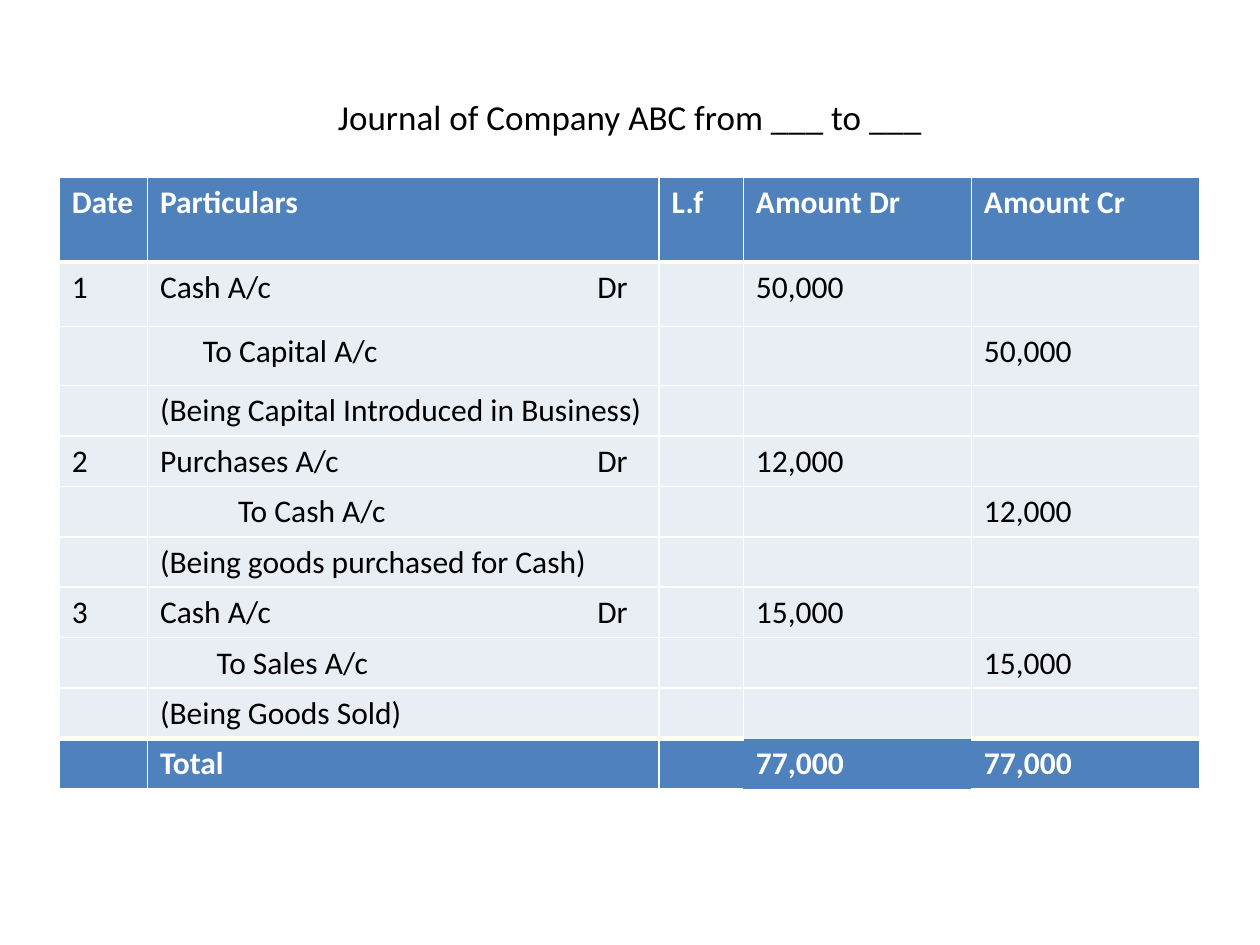
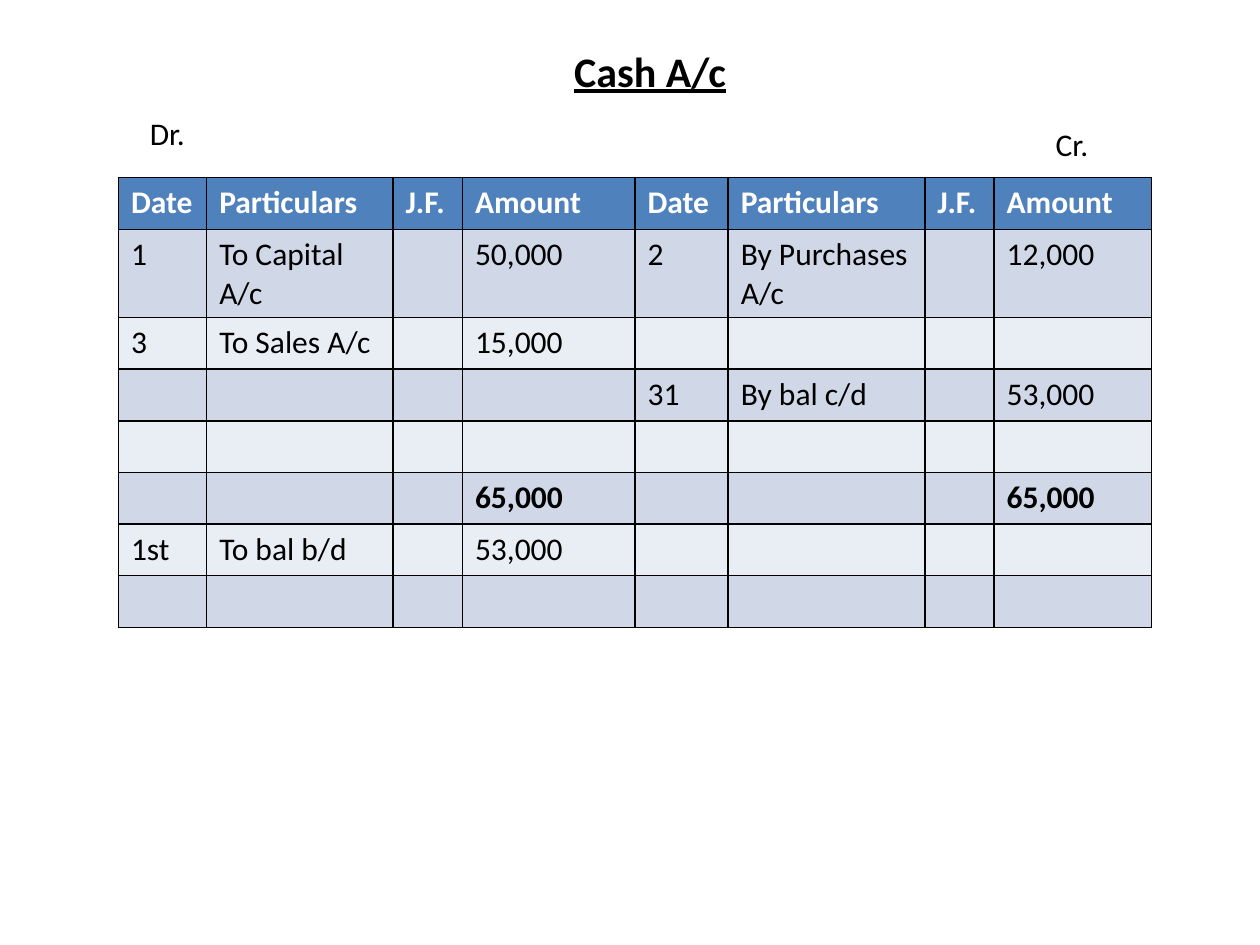
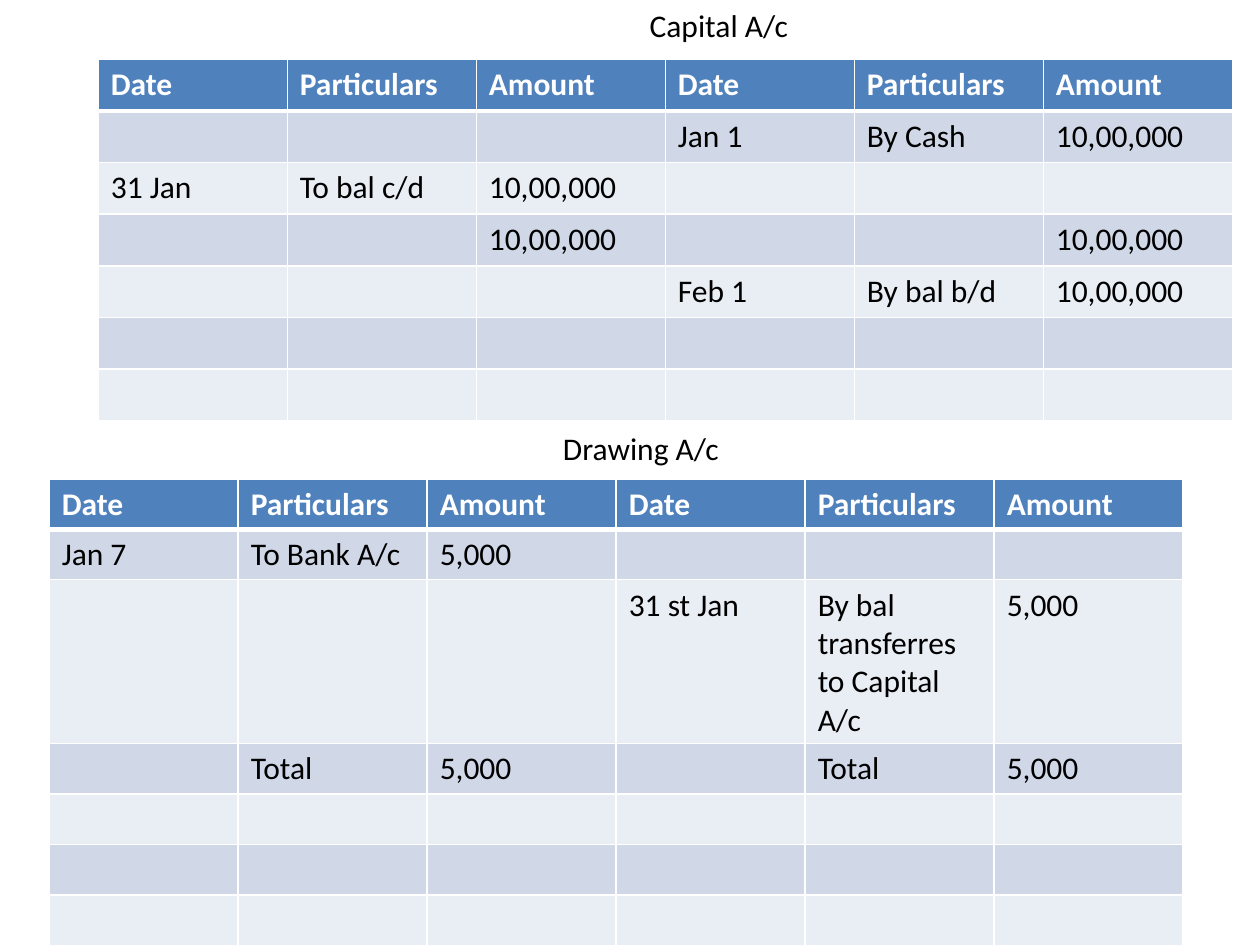
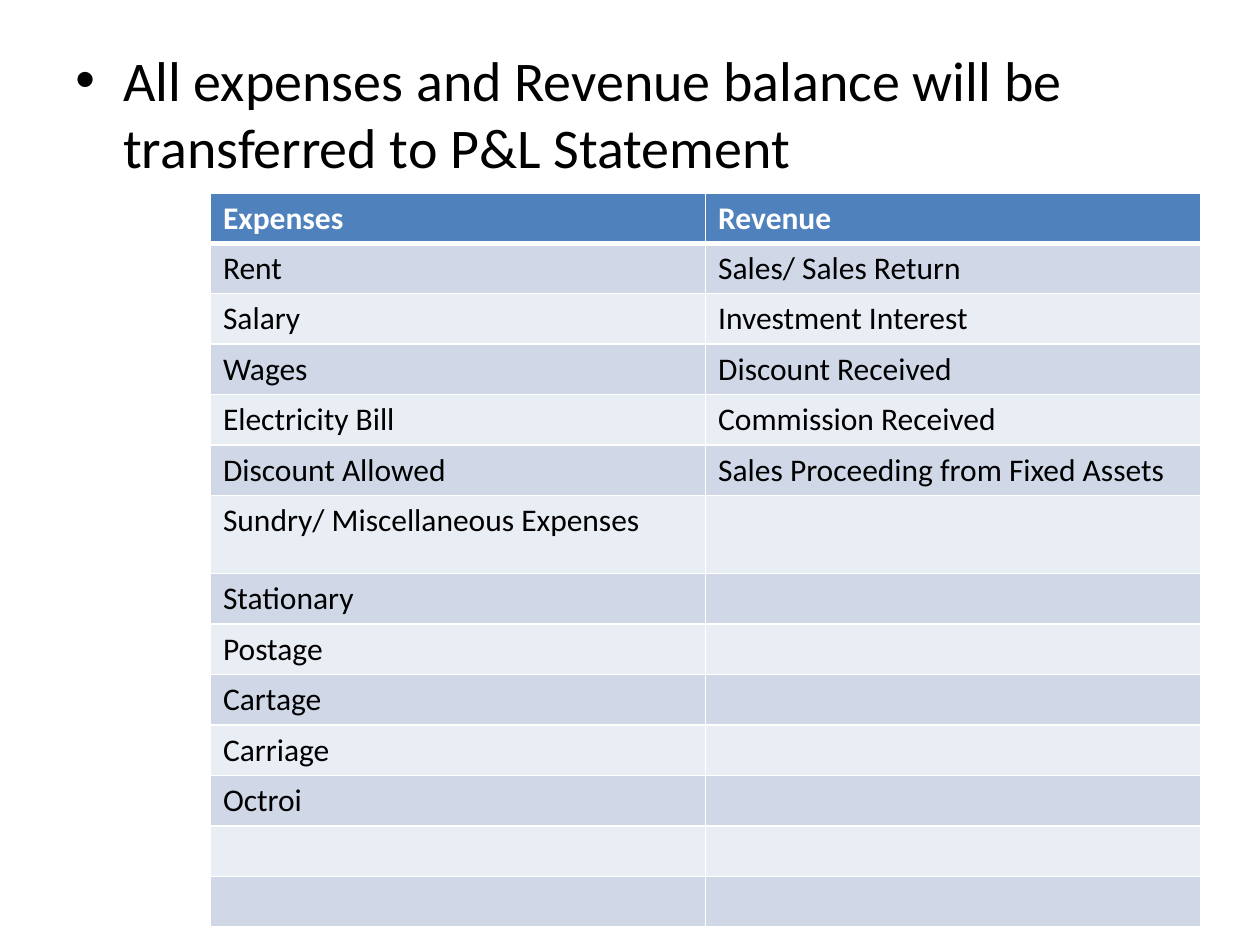
from dataclasses import dataclass, field
from itertools import zip_longest

from pptx import Presentation
from pptx.dml.color import RGBColor
from pptx.enum.text import MSO_ANCHOR as Anchor, PP_ALIGN as Align
from pptx.oxml.ns import qn
from pptx.oxml.xmlchemy import OxmlElement as Element
from pptx.util import Emu, Pt

PX = 9144
FONT = "Calibri"
COLORS = {
    "black": "000000",
    "white": "FFFFFF",
    "header": "4F81BD",
    "dark_band": "D0D8E8",
    "light_band": "E9EDF4",
}
SIDES = {"lnL": (0, -1), "lnR": (0, 1), "lnT": (-1, 0), "lnB": (1, 0)}
ROW = 41


@dataclass(frozen=True)
class Label:
    """A text box, with a hanging bullet when bulleted."""
    text: str
    left: int
    top: int
    width: int
    height: int
    size: int = 18
    align: Align = Align.LEFT
    anchor: Anchor = Anchor.TOP
    bold: bool = False
    underline: bool = False
    bulleted: bool = False


@dataclass(frozen=True)
class Ledger:
    """A ruled table whose row texts are split at bars."""
    left: int
    top: int
    columns: tuple[int, ...]
    heights: tuple[int, ...]
    rows: tuple[str, ...]
    line: str = "white"
    header_rule: int = 3
    banded: bool = True
    total_row: int | None = None
    bold_row: int | None = None
    open_cell: tuple[int, int] | None = None
    indents: dict[int, int] = field(default_factory=dict)
    tab_stop: int | None = None


def px(length: int) -> Emu:
    """Turn whole px into EMU."""
    return Emu(length * PX)


def rgb(name: str) -> RGBColor:
    """Look up a colour by name."""
    return RGBColor.from_string(COLORS[name])


def add_span(para, text: str, size: int, color: str, bold: bool, underline: bool = False) -> None:
    """Add one styled run to a paragraph."""
    span = para.add_run()
    span.text = text
    font = span.font
    font.name, font.size, font.bold = FONT, Pt(size), bold
    font.color.rgb = rgb(color)
    if underline:
        font.underline = True


def add_bullet(para) -> None:
    """Give a paragraph a hanging round bullet."""
    props = para._p.get_or_add_pPr()
    props.set("marL", str(px(38)))
    props.set("indent", str(px(-38)))
    face = Element("a:buFont")
    face.set("typeface", "Arial")
    mark = Element("a:buChar")
    mark.set("char", "•")
    props.extend((face, mark))


def add_tab(para, position: int) -> None:
    """Give a paragraph one left tab stop."""
    stops = Element("a:tabLst")
    stop = Element("a:tab")
    stop.set("pos", str(px(position)))
    stop.set("algn", "l")
    stops.append(stop)
    para._p.get_or_add_pPr().append(stops)


def draw_label(page, label: Label) -> None:
    """Draw a text box."""
    box = page.shapes.add_textbox(px(label.left), px(label.top), px(label.width), px(label.height))
    frame = box.text_frame
    frame.word_wrap = True
    frame.vertical_anchor = label.anchor
    para = frame.paragraphs[0]
    para.alignment = label.align
    if label.bulleted:
        add_bullet(para)
    add_span(para, label.text, label.size, "black", label.bold, label.underline)


def rule_cell(cell, ledger: Ledger, row: int, column: int) -> None:
    """Rule the four sides of a cell, leaving the open cell unruled."""
    props = cell._tc.get_or_add_tcPr()
    for tag, (down, across) in SIDES.items():
        edge = Element(f"a:{tag}")
        if ledger.open_cell in ((row, column), (row + down, column + across)):
            edge.append(Element("a:noFill"))
        else:
            lower_row = max(row, row + down)
            heavy = down and lower_row in (1, ledger.total_row)
            edge.set("w", str(Pt(ledger.header_rule if heavy else 1)))
            fill = Element("a:solidFill")
            color = Element("a:srgbClr")
            color.set("val", COLORS[ledger.line])
            fill.append(color)
            edge.append(fill)
        props.append(edge)


def fill_name(ledger: Ledger, row: int) -> str:
    """Name the fill colour of a row."""
    if row in (0, ledger.total_row):
        return "header"
    return "dark_band" if ledger.banded and row % 2 else "light_band"


def draw_cell(cell, ledger: Ledger, row: int, column: int, text: str) -> None:
    """Rule, fill and write one cell."""
    rule_cell(cell, ledger, row, column)
    fill = fill_name(ledger, row)
    cell.fill.solid()
    cell.fill.fore_color.rgb = rgb(fill)
    para = cell.text_frame.paragraphs[0]
    if not text:
        para.font.size = Pt(18)
        return
    if column == 1 and row in ledger.indents:
        para._p.get_or_add_pPr().set("marL", str(px(ledger.indents[row])))
    if "\t" in text:
        add_tab(para, ledger.tab_stop)
    strong = fill == "header"
    add_span(para, text, 18, "white" if strong else "black", strong or row == ledger.bold_row)


def draw_ledger(page, ledger: Ledger) -> None:
    """Draw a table with its rows, bands and rules."""
    frame = page.shapes.add_table(
        len(ledger.heights), len(ledger.columns), px(ledger.left), px(ledger.top),
        px(sum(ledger.columns)), px(sum(ledger.heights)))
    table = frame.table
    table.horz_banding = False
    table._tbl.tblPr.find(qn("a:tableStyleId")).text = "{2D5ABB26-0587-4C30-8999-92F81FD0307C}"
    for column, width in zip(table.columns, ledger.columns):
        column.width = px(width)
    lines = zip_longest(ledger.heights, ledger.rows, fillvalue="")
    for row, (height, line) in enumerate(lines):
        table.rows[row].height = px(height)
        texts = line.split("|")
        for column in range(len(ledger.columns)):
            text = texts[column] if column < len(texts) else ""
            draw_cell(table.cell(row, column), ledger, row, column, text)


JOURNAL = Ledger(
    47, 141, (70, 406, 67, 181, 181), (67, 51, 47) + (39,) * 8,
    (
        "Date|Particulars|L.f|Amount Dr|Amount Cr",
        "1|Cash A/c\tDr||50,000",
        "|To Capital A/c|||50,000",
        "|(Being Capital Introduced in Business)",
        "2|Purchases A/c\tDr||12,000",
        "|To Cash A/c|||12,000",
        "|(Being goods purchased for Cash)",
        "3|Cash A/c\tDr||15,000",
        "|To Sales A/c|||15,000",
        "|(Being Goods Sold)",
        "|Total||77,000|77,000",
    ),
    banded=False, total_row=10, open_cell=(10, 3),
    indents={2: 34, 5: 62, 8: 45}, tab_stop=347)

CASH = Ledger(
    94, 141, (70, 148, 55, 137, 74, 156, 55, 125), (ROW,) * 8,
    (
        "Date|Particulars|J.F.|Amount|Date|Particulars|J.F.|Amount",
        "1|To Capital A/c||50,000|2|By Purchases A/c||12,000",
        "3|To Sales A/c||15,000",
        "||||31|By bal c/d||53,000",
        "",
        "|||65,000||||65,000",
        "1st|To bal b/d||53,000",
    ),
    line="black", header_rule=1, bold_row=5)

ACCOUNT_HEADER = "Date|Particulars|Amount|Date|Particulars|Amount"

CAPITAL = Ledger(
    78, 47, (150,) * 6, (ROW,) * 7,
    (
        ACCOUNT_HEADER,
        "|||Jan 1|By Cash|10,00,000",
        "31 Jan|To bal c/d|10,00,000",
        "||10,00,000|||10,00,000",
        "|||Feb 1|By bal b/d|10,00,000",
    ))

DRAWING = Ledger(
    39, 380, (150,) * 6, (35, 35, 111) + (35,) * 4,
    (
        ACCOUNT_HEADER,
        "Jan 7|To Bank A/c|5,000",
        "|||31 st Jan|By bal transferres to Capital A/c|5,000",
        "|Total|5,000||Total|5,000",
    ))

PROFIT_AND_LOSS = Ledger(
    167, 153, (393, 393), (36, 34) + (36,) * 4 + (62,) + (36,) * 7,
    (
        "Expenses|Revenue",
        "Rent|Sales/ Sales Return",
        "Salary|Investment Interest",
        "Wages|Discount Received",
        "Electricity Bill|Commission Received",
        "Discount Allowed|Sales Proceeding from Fixed Assets",
        "Sundry/ Miscellaneous Expenses",
        "Stationary",
        "Postage",
        "Cartage",
        "Carriage",
        "Octroi",
    ))

PAGES: tuple[tuple[Label | Ledger, ...], ...] = (
    (
        Label("Journal of Company ABC from ___ to ___", 50, 30, 900, 125, 20,
              Align.CENTER, Anchor.MIDDLE),
        JOURNAL,
    ),
    (
        CASH,
        Label("Cash A/c", 258, 31, 516, 50, 24, Align.CENTER, bold=True, underline=True),
        Label("Dr.", 109, 86, 78, 40),
        Label("Cr.", 828, 94, 78, 40),
    ),
    (
        CAPITAL,
        Label("Capital A/c", 375, 0, 391, 40, align=Align.CENTER),
        DRAWING,
        Label("Drawing A/c", 437, 336, 367, 40),
    ),
    (
        Label("All expenses and Revenue balance will be transferred to P&L Statement",
              50, 31, 900, 639, 32, bulleted=True),
        PROFIT_AND_LOSS,
    ),
)


def main() -> None:
    """Build the deck and save it."""
    deck = Presentation()
    deck.slide_width, deck.slide_height = px(1000), px(750)
    for items in PAGES:
        page = deck.slides.add_slide(deck.slide_layouts[6])
        for item in items:
            if isinstance(item, Ledger):
                draw_ledger(page, item)
            else:
                draw_label(page, item)
    deck.save("out.pptx")


if __name__ == "__main__":
    main()
